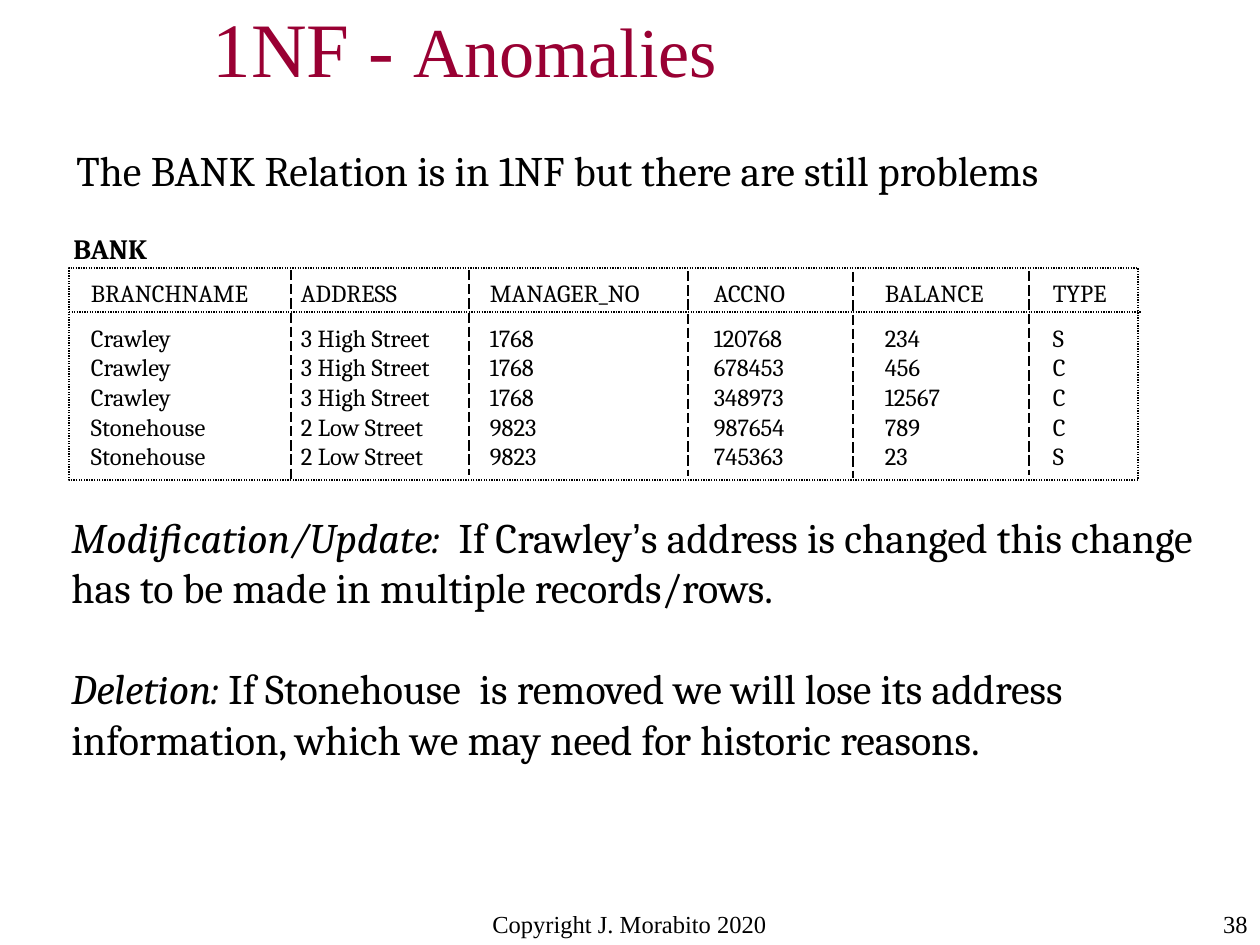
import pptx
import pptx.dml.color
import pptx.enum.dml
import pptx.enum.shapes
import pptx.enum.text
import pptx.oxml.ns
import pptx.util
from lxml import etree

PX = 914400 / 126
COLORS = {"title": "990033", "text": "000000", "border": "000000"}
ALIGN = pptx.enum.text.PP_ALIGN
ANCHOR = pptx.enum.text.MSO_ANCHOR
DASH = pptx.enum.dml.MSO_LINE
NO_GRID_STYLE = "{2D5ABB26-0587-4C30-8999-92F81FD0307C}"

BANK_ROWS = [
    ["BRANCHNAME", "ADDRESS", "MANAGER_NO", "ACCNO", "BALANCE", "TYPE"],
    ["Crawley", "3 High Street", "1768", "120768", "234", "S"],
    ["Crawley", "3 High Street", "1768", "678453", "456", "C"],
    ["Crawley", "3 High Street", "1768", "348973", "12567", "C"],
    ["Stonehouse", "2 Low Street", "9823", "987654", "789", "C"],
    ["Stonehouse", "2 Low Street", "9823", "745363", "23", "S"],
]
COLUMN_EDGES = [69, 291, 469, 688, 853, 1029, 1138]
COLUMN_INDENTS = [22, 10, 21, 26, 32, 24]
COLUMN_RULE_SPANS = [(270, 481), (270, 475), (271, 476), (272, 478), (271, 475)]
ROW_HEIGHTS = [44, 42, 30, 29, 30, 37]
ROW_TOP_MARGINS = [8, 0, 0, 0, 0, 0]
ROW_ANCHORS = [ANCHOR.MIDDLE, ANCHOR.BOTTOM] + [ANCHOR.MIDDLE] * 3 + [ANCHOR.TOP]


def px(length):
    return pptx.util.Emu(round(length * PX))


class SlideBuilder:
    body_font = "Cambria"
    plain_font = "Times New Roman"
    rule_width = 0.75

    def __init__(self, slide):
        self.slide = slide

    def format_run(self, run, size, font=None, color="text", bold=False, italic=False):
        run.font.size = pptx.util.Pt(size)
        run.font.name = font or self.body_font
        run.font.bold = bold
        run.font.italic = italic
        run.font.color.rgb = pptx.dml.color.RGBColor.from_string(COLORS[color])

    def format_line(self, line, dash):
        line.color.rgb = pptx.dml.color.RGBColor.from_string(COLORS["border"])
        line.width = pptx.util.Pt(self.rule_width)
        line.dash_style = dash

    def fill_paragraph(self, paragraph, runs, align=ALIGN.LEFT):
        """Add (text, style) runs to a paragraph."""
        paragraph.alignment = align
        for text, style in runs:
            run = paragraph.add_run()
            run.text = text
            self.format_run(run, **style)

    def title(self, left, top, width, height, runs):
        shape = self.slide.shapes.title
        shape.left, shape.top, shape.width, shape.height = map(px, (left, top, width, height))
        frame = shape.text_frame
        frame.auto_size = pptx.enum.text.MSO_AUTO_SIZE.NONE
        frame.vertical_anchor = ANCHOR.MIDDLE
        self.fill_paragraph(frame.paragraphs[0], runs)

    def text(self, left, top, width, height, paragraphs, align=ALIGN.LEFT, gap=0):
        shape = self.slide.shapes.add_textbox(px(left), px(top), px(width), px(height))
        frame = shape.text_frame
        frame.word_wrap = True
        for index, runs in enumerate(paragraphs):
            paragraph = frame.add_paragraph() if index else frame.paragraphs[0]
            if index:
                paragraph.space_before = pptx.util.Pt(gap)
            self.fill_paragraph(paragraph, runs, align)

    def frame(self, left, top, width, height):
        shape = self.slide.shapes.add_shape(
            pptx.enum.shapes.MSO_SHAPE.RECTANGLE, px(left), px(top), px(width), px(height))
        shape.shadow.inherit = False
        shape.fill.background()
        self.format_line(shape.line, DASH.ROUND_DOT)

    def rule(self, x1, y1, x2, y2, dash):
        connector = self.slide.shapes.add_connector(
            pptx.enum.shapes.MSO_CONNECTOR.STRAIGHT, px(x1), px(y1), px(x2), px(y2))
        self.format_line(connector.line, dash)
        etree.SubElement(connector._element.spPr, pptx.oxml.ns.qn("a:effectLst"))

    def table(self, top, rows, size):
        """Table without grid; the frame and rules are drawn separately."""
        shape = self.slide.shapes.add_table(
            len(rows), len(COLUMN_INDENTS), px(COLUMN_EDGES[0]), px(top),
            px(COLUMN_EDGES[-1] - COLUMN_EDGES[0]), px(sum(ROW_HEIGHTS)))
        table = shape.table
        table.first_row = table.horz_banding = False
        table._tbl.tblPr.find(pptx.oxml.ns.qn("a:tableStyleId")).text = NO_GRID_STYLE
        for column, left, right in zip(table.columns, COLUMN_EDGES, COLUMN_EDGES[1:]):
            column.width = px(right - left)
        for r, values in enumerate(rows):
            table.rows[r].height = px(ROW_HEIGHTS[r])
            for c, value in enumerate(values):
                cell = table.cell(r, c)
                cell.margin_left = px(COLUMN_INDENTS[c])
                cell.margin_top = px(ROW_TOP_MARGINS[r])
                cell.margin_right = cell.margin_bottom = 0
                cell.vertical_anchor = ROW_ANCHORS[r]
                cell.fill.background()
                self.fill_paragraph(cell.text_frame.paragraphs[0], [(value, {"size": size})])


def main():
    presentation = pptx.Presentation()
    presentation.slide_width = px(1260)
    presentation.slide_height = px(945)
    title_only = presentation.slide_layouts[5]
    builder = SlideBuilder(presentation.slides.add_slide(title_only))

    plain = {"size": 14, "font": builder.plain_font}
    heading = {"font": builder.plain_font, "color": "title"}
    body = {"size": 24}
    term = {"size": 24, "italic": True}

    builder.text(430, 903, 399, 32, [[("Copyright J. Morabito 2020", plain)]], ALIGN.CENTER)
    builder.text(1081, 903, 179, 42, [[("38", plain)]], ALIGN.RIGHT)
    builder.title(200, 10, 1060, 73, [
        ("1NF - ", {"size": 44, **heading}), ("Anomalies", {"size": 40, **heading})])

    builder.frame(69, 268, 1069, 212)
    builder.text(61, 225, 105, 47, [[("BANK", {"size": 16, "bold": True})]])
    builder.table(268, BANK_ROWS, 14)
    builder.rule(69, 312, 1141, 312, DASH.ROUND_DOT)
    for x, (top, bottom) in zip(COLUMN_EDGES[1:-1], COLUMN_RULE_SPANS):
        builder.rule(x, top, x, bottom, DASH.LONG_DASH)

    builder.text(64, 138, 1196, 63, [
        [("The BANK Relation is in 1NF but there are still problems", body)]])
    builder.text(59, 505, 1158, 315, [
        [("Modification/Update:", term), ("  If Crawley", body),
         ("’", {"size": 24, "font": "Arial"}),
         ("s address is changed this change has to be made in multiple records/rows.", body)],
        [("Deletion:", term),
         (" If Stonehouse  is removed we will lose its address information, "
          "which we may need for historic reasons.", body)],
    ], gap=29)

    presentation.save("out.pptx")


if __name__ == "__main__":
    main()
